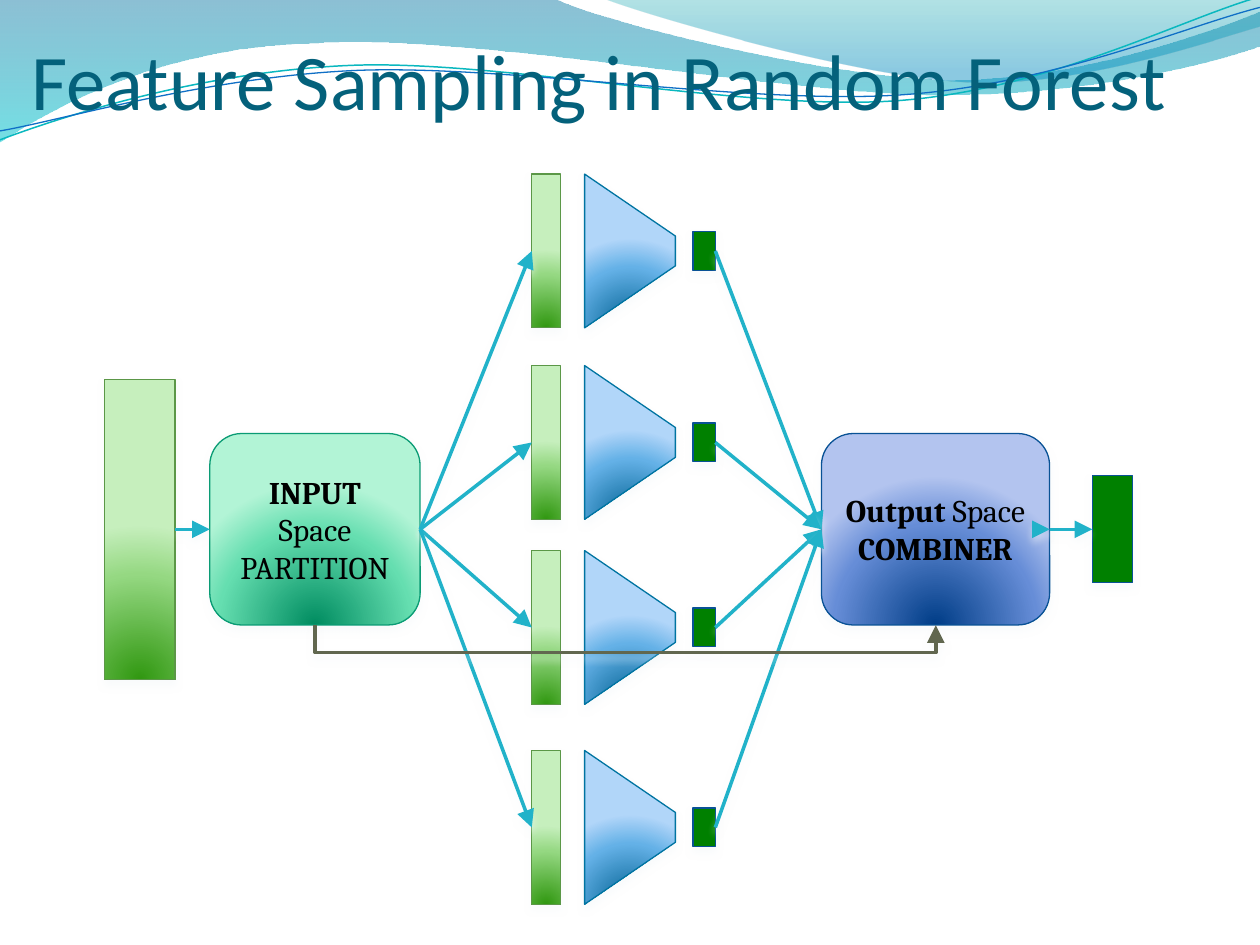
"""Build the slide on feature sampling in a random forest."""
from dataclasses import dataclass

from lxml.etree import SubElement
from pptx import Presentation
from pptx.dml.color import RGBColor
from pptx.enum.shapes import MSO_CONNECTOR, MSO_SHAPE
from pptx.enum.text import MSO_ANCHOR, PP_ALIGN
from pptx.oxml.ns import qn
from pptx.util import Cm, Pt


@dataclass(frozen=True)
class Look:
    """Fill stops and outline of one kind of block."""

    stops: tuple
    line: str


@dataclass(frozen=True)
class Theme:
    """Colours, fonts and sizes of the slide."""

    title_font: str = "Calibri"
    title_size: float = 45
    title_color: str = "04617B"
    label_font: str = "Cambria"
    label_size: float = 18
    label_color: str = "000000"
    outline: float = 0.75
    arrow_width: float = 2
    arrow: str = "21B2C9"
    bypass: str = "61674F"
    shadow: str = "F4F8FA"
    features: Look = Look(((0, "319811"), (68, "95D882"), (100, "C6EFBD")), "5B9747")
    learner: Look = Look(((0, "006091"), (68, "64B1E7"), (100, "B1D6F9")), "0074A1")
    partition: Look = Look(((0, "008C60"), (68, "65DEB0"), (100, "B2F4D6")), "0A9B74")
    combiner: Look = Look(((0, "003D87"), (68, "668DD7"), (100, "B3C4EF")), "095295")
    result: Look = Look(((0, "008000"),), "095295")
    wide_wave: tuple = ((0, "0074A1", 45), (100, "00C6CF", 55))
    right_wave: tuple = ((0, "00A1A9", 30), (80, "008BBF", 45))
    upper_strand: tuple = ("0AB8BF", 0.85)
    lower_strand: tuple = ("0F6FC6", 0.75)


THEME = Theme()
AXIS = 10.67
ROW_CENTRES = (5.06, 8.92, 12.65, 16.68)
WIDE_WAVE = (
    (0, 0), (11.18, -0.03),
    (12.09, 0.43, 16.87, 1.6, 19.25, 1.6), (21.67, 1.6, 24.33, 0.66, 25.4, 0.23),
    (25.43, 0.91),
    (24.97, 1.12, 22.1, 1.93, 18.95, 1.91), (15.8, 1.91, 9.7, 0.71, 6.53, 0.86),
    (3.28, 0.91, 1.17, 2.11, -0.03, 2.87),
)
RIGHT_WAVE = (
    (12.17, -0.03), (12.93, 0.28, 17.32, 1.57, 19.53, 1.65),
    (21.74, 1.75, 24.41, 0.81, 25.4, 0.53), (25.4, 0),
)
UPPER_STRAND = (
    (0, 2.82), (1.22, 2.36, 4.01, 1.45, 7.04, 1.32),
    (10.03, 1.19, 15.06, 2.26, 18.11, 2.03), (21.16, 1.8, 23.83, 0.38, 25.35, -0.05),
)
LOWER_STRAND = (
    (0, 2.64), (1.19, 2.44, 4.17, 1.55, 7.19, 1.42),
    (10.24, 1.3, 15.16, 2.13, 18.21, 1.91), (21.23, 1.7, 23.9, 0.53, 25.4, 0.15),
)


def rgb(code):
    """Turn a hex code into a colour."""
    return RGBColor.from_string(code)


def add_color(parent, code, alpha=100):
    """Add a colour element with its opacity in percent."""
    color = SubElement(parent, qn("a:srgbClr"), val=code)
    if alpha < 100:
        SubElement(color, qn("a:alpha"), val=str(alpha * 1000))


def add_shadow(effects):
    """Add the pale shadow that falls below a part."""
    shadow = SubElement(effects, qn("a:outerShdw"), blurRad=str(Pt(4.5)), dist=str(Pt(3)),
                        dir="5400000", rotWithShape="0")
    add_color(shadow, THEME.shadow, 48)


def fill_gradient(shape, stops, radial):
    """Fill a shape with a downward or a radial gradient."""
    shape.fill.gradient()
    gradient = shape._element.spPr.find(qn("a:gradFill"))
    for child in list(gradient):
        gradient.remove(child)
    stop_list = SubElement(gradient, qn("a:gsLst"))
    for position, *color in stops:
        add_color(SubElement(stop_list, qn("a:gs"), pos=str(position * 1000)), *color)
    if radial:
        focus = SubElement(gradient, qn("a:path"), path="circle")
        SubElement(focus, qn("a:fillToRect"), l="50000", t="130000", r="50000", b="-30000")
    else:
        SubElement(gradient, qn("a:lin"), ang="5400000", scaled="0")


def add_curve(shapes, segments, close):
    """Add a freeform whose six-number segments are cubic curves."""
    start, *rest = segments
    points = [(Cm(s[i]), Cm(s[i + 1])) for s in rest for i in range(0, len(s), 2)]
    builder = shapes.build_freeform(*map(Cm, start))
    builder.add_line_segments(points, close=close)
    curve = builder.convert_to_shape()
    curve.shadow.inherit = False
    steps = iter(list(curve._element.spPr.iter(qn("a:lnTo"))))
    for segment in rest:
        first, *others = [next(steps) for _ in range(len(segment) // 2)]
        if others:
            bend = SubElement(first.getparent(), qn("a:cubicBezTo"))
            first.addprevious(bend)
            for step in (first, *others):
                bend.append(step[0])
                step.getparent().remove(step)
    return curve


def add_wave(shapes, segments, stops):
    """Add a translucent wave without outline."""
    wave = add_curve(shapes, segments, True)
    fill_gradient(wave, stops, radial=False)
    wave.line.fill.background()


def add_strand(shapes, segments, color, width):
    """Add a thin curved line."""
    strand = add_curve(shapes, segments, False)
    strand.fill.background()
    strand.line.color.rgb = rgb(color)
    strand.line.width = Pt(width)


def add_run(paragraph, text, font, size, color, bold=False):
    """Add one run of styled text."""
    run = paragraph.add_run()
    run.text = text
    run.font.name = font
    run.font.size = Pt(size)
    run.font.bold = bold
    run.font.color.rgb = rgb(color)


def add_title(shapes, text):
    """Add the slide title."""
    frame = shapes.add_textbox(Cm(0.64), Cm(0.43), Cm(23.93), Cm(2.11)).text_frame
    frame.word_wrap = True
    frame.vertical_anchor = MSO_ANCHOR.BOTTOM
    frame.margin_left = frame.margin_right = frame.margin_bottom = 0
    add_run(frame.paragraphs[0], text, THEME.title_font, THEME.title_size, THEME.title_color)


def add_block(shapes, look, left, centre, width, height, kind=MSO_SHAPE.RECTANGLE):
    """Add a block centred on a horizontal line."""
    block = shapes.add_shape(kind, Cm(left), Cm(centre - height / 2), Cm(width), Cm(height))
    if len(look.stops) > 1:
        fill_gradient(block, look.stops, radial=True)
    else:
        block.fill.solid()
        block.fill.fore_color.rgb = rgb(look.stops[0][1])
    block.line.color.rgb = rgb(look.line)
    block.line.width = Pt(THEME.outline)
    block.shadow.inherit = False
    add_shadow(block._element.spPr.find(qn("a:effectLst")))
    return block


def add_stage(shapes, look, left, width, lines):
    """Add a labelled rounded stage; each line lists text and boldness."""
    stage = add_block(shapes, look, left, AXIS, width, 3.86, MSO_SHAPE.ROUNDED_RECTANGLE)
    frame = stage.text_frame
    frame.word_wrap = True
    frame.vertical_anchor = MSO_ANCHOR.MIDDLE
    for index, line in enumerate(lines):
        paragraph = frame.add_paragraph() if index else frame.paragraphs[0]
        paragraph.alignment = PP_ALIGN.CENTER
        for text, bold in line:
            add_run(paragraph, text, THEME.label_font, THEME.label_size, THEME.label_color, bold)
    return stage


def add_learner(shapes, centre):
    """Add one grouped row of sampled features, learner and result."""
    row = shapes.add_group_shape().shapes
    result = add_block(row, THEME.result, 13.97, centre, 0.45, 0.78)
    learner = add_block(row, THEME.learner, 11.15, centre, 3.1, 1.83, MSO_SHAPE.TRAPEZOID)
    learner.rotation = 90
    learner.adjustments[0] = 0.683
    return add_block(row, THEME.features, 10.72, centre, 0.58, 3.1), result


def add_arrow(shapes, start, end, color=THEME.arrow, kind=MSO_CONNECTOR.STRAIGHT):
    """Add an arrow between two points."""
    arrow = shapes.add_connector(kind, *map(Cm, start + end))
    arrow.line.color.rgb = rgb(color)
    arrow.line.width = Pt(THEME.arrow_width)
    properties = arrow._element.spPr
    SubElement(properties.find(qn("a:ln")), qn("a:tailEnd"), type="triangle", w="lg", len="lg")
    add_shadow(SubElement(properties, qn("a:effectLst")))
    return arrow


def link(shapes, source, target):
    """Join the right side of one block to the left side of another."""
    arrow = add_arrow(shapes, (0, 0), (1, 1))
    arrow.begin_connect(source, 3)
    arrow.end_connect(target, 1)


def add_bypass(shapes, left, right, level, drop):
    """Add an elbow arrow that dips below its two ends."""
    middle, half, depth = (left + right) / 2, (right - left) / 2, 0.01
    arrow = add_arrow(shapes, (middle + depth, level - half), (middle, level + half),
                      THEME.bypass, MSO_CONNECTOR.ELBOW)
    properties = arrow._element.spPr
    properties.find(qn("a:xfrm")).set("rot", str(270 * 60000))
    bend = properties.find(qn("a:prstGeom")).find(qn("a:avLst"))
    SubElement(bend, qn("a:gd"), name="adj1", fmla=f"val {round(drop / depth * 100000)}")


def main():
    """Build and save the slide."""
    deck = Presentation()
    deck.slide_width, deck.slide_height = Cm(25.4), Cm(19.05)
    shapes = deck.slides.add_slide(deck.slide_layouts[6]).shapes

    add_wave(shapes, WIDE_WAVE, THEME.wide_wave)
    add_wave(shapes, RIGHT_WAVE, THEME.right_wave)
    strands = shapes.add_group_shape().shapes
    add_strand(strands, UPPER_STRAND, *THEME.upper_strand)
    add_strand(strands, LOWER_STRAND, *THEME.lower_strand)
    add_title(shapes, "Feature Sampling in Random Forest")

    learners = [add_learner(shapes, centre) for centre in ROW_CENTRES]
    features = add_block(shapes, THEME.features, 2.11, AXIS, 1.42, 6.05)
    partition = add_stage(shapes, THEME.partition, 4.23, 4.24,
                          [[("INPUT", True)], [("Space PARTITION", False)]])
    combiner = add_stage(shapes, THEME.combiner, 16.56, 4.6,
                         [[("Output", True), (" Space ", False), ("COMBINER", True)]])
    output = add_block(shapes, THEME.result, 22.02, AXIS, 0.81, 2.16)

    link(shapes, features, partition)
    for sample, result in learners:
        link(shapes, partition, sample)
        link(shapes, result, combiner)
    add_arrow(shapes, (20.88, AXIS), (21.16, AXIS))
    link(shapes, combiner, output)
    add_bypass(shapes, 6.35, 18.86, 12.6, 0.56)
    deck.save("out.pptx")


if __name__ == "__main__":
    main()
